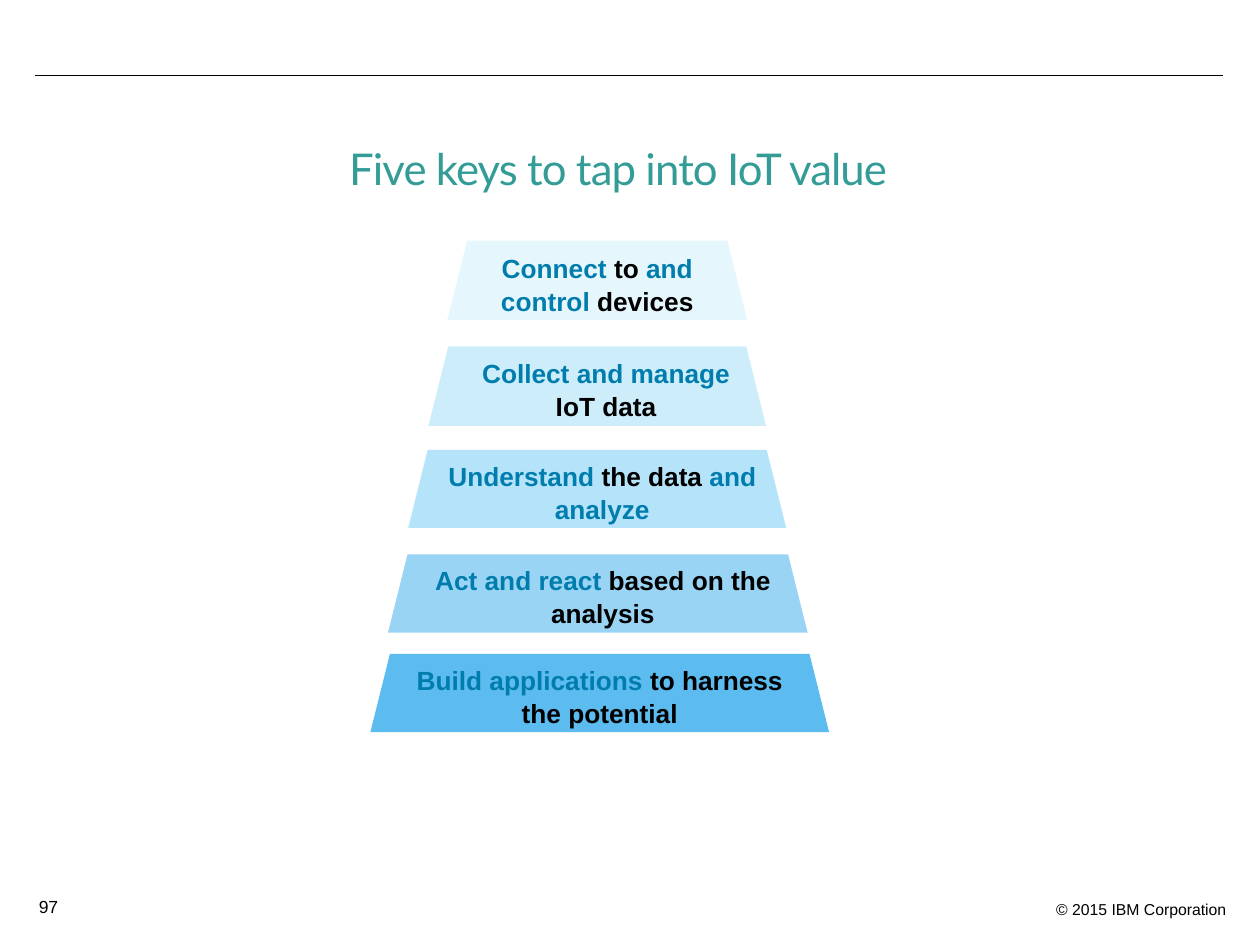
from dataclasses import dataclass

from pptx import Presentation
from pptx.dml.color import RGBColor
from pptx.enum.shapes import MSO_CONNECTOR as Connector, MSO_SHAPE as Shape
from pptx.enum.text import MSO_ANCHOR as Anchor, PP_ALIGN as Align
from pptx.oxml.ns import qn
from pptx.slide import Slide
from pptx.util import Inches, Pt

COLORS = {"black": "000000", "accent": "007DAD", "title": "339C96"}


@dataclass
class Run:
    text: str
    color: str = "black"


@dataclass
class Tier:
    left: float
    top: float
    width: float
    height: float
    fill: str
    indent: float
    runs: list[Run]


@dataclass
class Label:
    left: float
    top: float
    width: float
    height: float
    run: Run
    size: float
    align: Align
    font: str = "Arial"
    anchor: Anchor = Anchor.TOP
    line_spacing: float = 1.0
    character_spacing: int = 0


TIERS = [
    Tier(3.55, 1.91, 2.38, 0.63, "E6F6FD", 0,
         [Run("Connect ", "accent"), Run("to "), Run("and control", "accent"), Run(" devices")]),
    Tier(3.4, 2.75, 2.68, 0.63, "CDEDFB", 0.14,
         [Run("Collect and manage", "accent"), Run(" IoT data")]),
    Tier(3.24, 3.57, 3, 0.62, "B5E3F9", 0.08,
         [Run("Understand ", "accent"), Run("the data "), Run("and analyze", "accent")]),
    Tier(3.08, 4.4, 3.33, 0.62, "99D4F5", 0.08,
         [Run("Act and react ", "accent"), Run("based on the analysis")]),
    Tier(2.94, 5.19, 3.64, 0.62, "5CBBEF", 0,
         [Run("Build applications", "accent"), Run(" to harness the potential")]),
]

LABELS = [
    Label(6.49, 7.09, 3.34, 0.25, Run("© 2015 IBM Corporation"), 9, Align.RIGHT),
    Label(0.21, 7.06, 0.6, 0.27, Run("97"), 10, Align.LEFT),
    Label(0.26, 1.06, 9.29, 0.6, Run("Five keys to tap into IoT value", "title"), 25,
          Align.CENTER, "Lato", Anchor.MIDDLE, 0.9, -50),
]


def add_run(paragraph, content: Run, size: float, font: str, bold: bool = False):
    """Append one formatted run to a paragraph and return it."""
    run = paragraph.add_run()
    run.text = content.text
    run.font.name = font
    run.font.size = Pt(size)
    run.font.bold = bold
    run.font.color.rgb = RGBColor.from_string(COLORS[content.color])
    return run


def draw_rule(slide: Slide) -> None:
    """Draw the thin line across the top of the slide."""
    rule = slide.shapes.add_connector(
        Connector.STRAIGHT, Inches(0.28), Inches(0.6), Inches(9.71), Inches(0.6))
    rule.line.color.rgb = RGBColor.from_string(COLORS["black"])
    rule.line.width = Pt(0.75)
    properties = rule.line._get_or_add_ln().getparent()
    properties.append(properties.makeelement(qn("a:effectLst"), {}))


def draw_tier(slide: Slide, tier: Tier) -> None:
    """Draw one trapezoid of the pyramid with its text."""
    shape = slide.shapes.add_shape(
        Shape.TRAPEZOID, Inches(tier.left), Inches(tier.top),
        Inches(tier.width), Inches(tier.height))
    shape.shadow.inherit = False
    shape.fill.solid()
    shape.fill.fore_color.rgb = RGBColor.from_string(tier.fill)
    shape.line.fill.background()
    frame = shape.text_frame
    frame.word_wrap = True
    frame.vertical_anchor = Anchor.TOP
    paragraph = frame.paragraphs[0]
    paragraph.alignment = Align.CENTER
    paragraph.line_spacing = 1.05
    paragraph._p.get_or_add_pPr().set("marL", str(Inches(tier.indent)))
    for content in tier.runs:
        add_run(paragraph, content, 15, "Arial", bold=True)


def draw_label(slide: Slide, label: Label) -> None:
    """Draw one plain line of text."""
    box = slide.shapes.add_textbox(
        Inches(label.left), Inches(label.top), Inches(label.width), Inches(label.height))
    frame = box.text_frame
    frame.word_wrap = True
    frame.vertical_anchor = label.anchor
    paragraph = frame.paragraphs[0]
    paragraph.alignment = label.align
    paragraph.line_spacing = label.line_spacing
    run = add_run(paragraph, label.run, label.size, label.font)
    if label.character_spacing:
        run.font._element.set("spc", str(label.character_spacing))


def main() -> None:
    """Build and save the slide."""
    presentation = Presentation()
    presentation.slide_width = Inches(10)
    presentation.slide_height = Inches(7.5)
    slide = presentation.slides.add_slide(presentation.slide_layouts[6])
    draw_rule(slide)
    for tier in TIERS:
        draw_tier(slide, tier)
    for label in LABELS:
        draw_label(slide, label)
    presentation.save("out.pptx")


if __name__ == "__main__":
    main()
